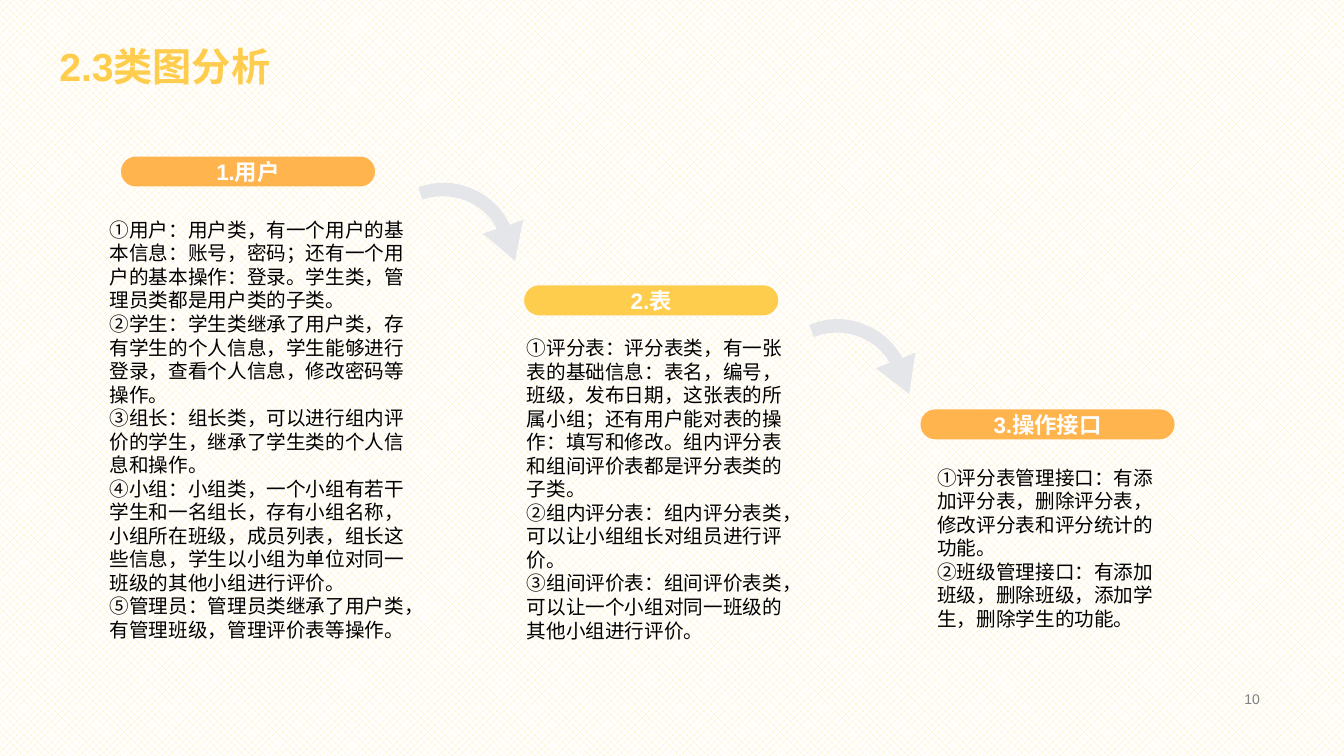
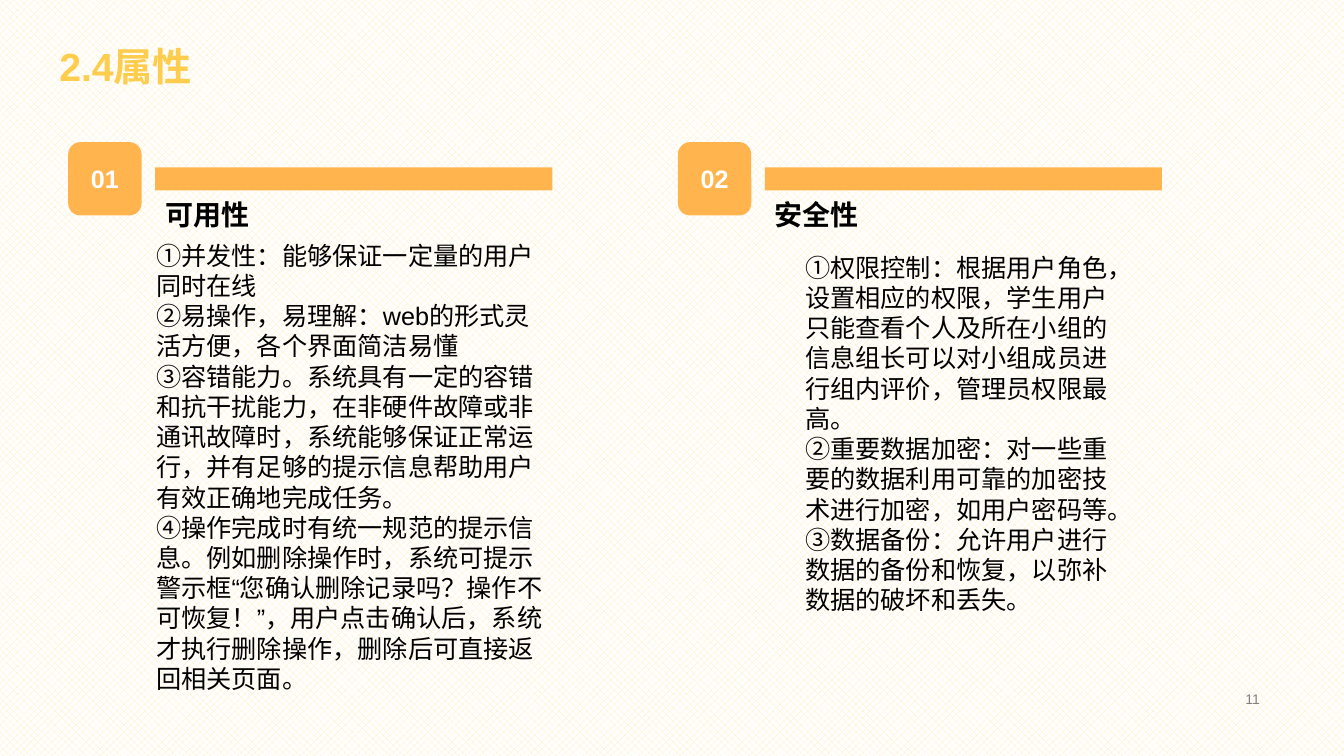
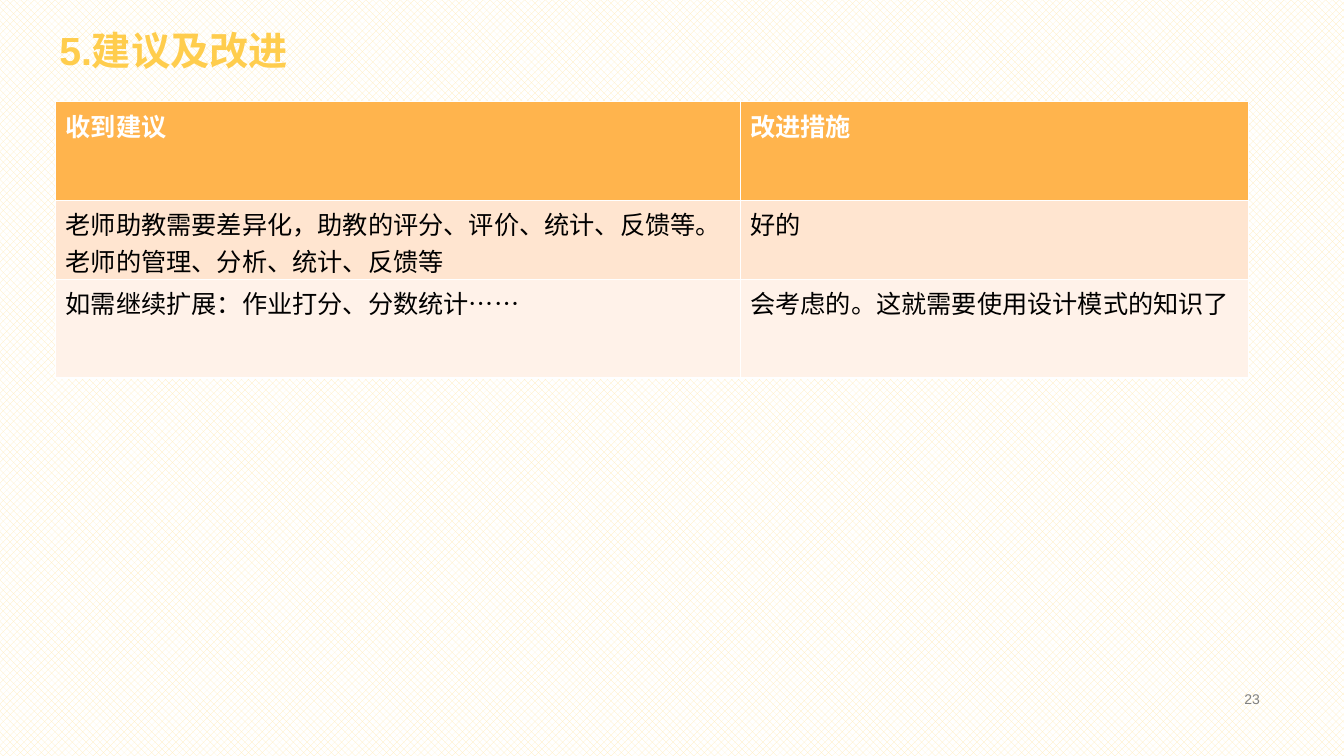
import lxml.etree
import pptx
import pptx.dml.color
import pptx.enum.dml
import pptx.enum.shapes
import pptx.enum.text
import pptx.oxml.ns
import pptx.util

Pt = pptx.util.Pt
SHAPE = pptx.enum.shapes.MSO_SHAPE
ALIGN = pptx.enum.text.PP_ALIGN
ANCHOR = pptx.enum.text.MSO_ANCHOR

# Shared look
FONT = "Arial"
ORANGE, YELLOW, GREY = "FFB44D", "FFCD4D", "E4E6EA"
WHITE, BLACK, PAGE_GREY = "FFFFFF", "000000", "808080"
PATTERN = "FFEBB8"
ROW_FILLS = (ORANGE, "FFE5D0", "FFF2E9")


def rgb(value):
    return pptx.dml.color.RGBColor.from_string(value)


# Text
def write(tf, text, size=18, color=BLACK, bold=False, align=None,
          anchor=ANCHOR.TOP, spacing=None, asian_font=FONT):
    """Fill a text frame; each line of text becomes a paragraph."""
    tf.word_wrap = True
    tf.vertical_anchor = anchor
    for i, line in enumerate(text.split("\n")):
        p = tf.paragraphs[0] if i == 0 else tf.add_paragraph()
        p.alignment = align
        p.line_spacing = spacing
        r = p.add_run()
        r.text = line
        r.font.size = Pt(size)
        r.font.bold = bold
        r.font.color.rgb = rgb(color)
        r.font.name = FONT
        if asian_font:
            ea = lxml.etree.SubElement(r.font._element, pptx.oxml.ns.qn("a:ea"))
            ea.set("typeface", asian_font)


def text_box(s, x, y, w, h, text, **fmt):
    sp = s.shapes.add_textbox(Pt(x), Pt(y), Pt(w), Pt(h))
    write(sp.text_frame, text, **fmt)


def body(s, x, y, w, h, text, size):
    text_box(s, x, y, w, h, text, size=size, spacing=Pt(size * 1.2))


# Shapes
def paint(sp, fill):
    sp.shadow.inherit = False
    sp.fill.solid()
    sp.fill.fore_color.rgb = rgb(fill)
    sp.line.fill.background()


def block(s, kind, x, y, w, h, fill, text=None, size=16):
    sp = s.shapes.add_shape(kind, Pt(x), Pt(y), Pt(w), Pt(h))
    paint(sp, fill)
    if text:
        tf = sp.text_frame
        tf.margin_left = tf.margin_right = tf.margin_top = tf.margin_bottom = 0
        write(tf, text, size=size, color=WHITE, bold=True,
              align=ALIGN.CENTER, anchor=ANCHOR.MIDDLE)
    return sp


def bezier(a, b, c, d, steps=12):
    """Points on a cubic curve, without its start."""
    points = []
    for i in range(1, steps + 1):
        t = i / steps
        u = 1 - t
        points.append(tuple(
            u ** 3 * a[k] + 3 * u * u * t * b[k] + 3 * u * t * t * c[k] + t ** 3 * d[k]
            for k in (0, 1)))
    return points


def curved_arrow(s, x, y, rotation=0):
    outline = [(72, 42), (74.9, 27.4), (65.5, 31)]
    outline += bezier((65.5, 31), (59.8, 19.5), (51.1, 10.8), (39.6, 5.8))
    outline += bezier((39.6, 5.8), (27.4, 0), (13, -0.7), (0, 4.3))
    outline += [(2.9, 13)]
    outline += bezier((2.9, 13), (23.8, 5.8), (46.8, 15.1), (56.2, 33.8))
    outline += [(46.1, 37.4), (57.6, 46.8), (69.1, 56.9)]
    points = [(Pt(x + px), Pt(y + py)) for px, py in outline]
    builder = s.shapes.build_freeform(*points[0])
    builder.add_line_segments(points[1:], close=True)
    sp = builder.convert_to_shape()
    paint(sp, GREY)
    sp.rotation = rotation


# Slide frame: background, page number, title
def new_slide(prs, title, number, title_top=11.5):
    s = prs.slides.add_slide(prs.slide_layouts[6])
    fill = s.background.fill
    fill.patterned()
    fill.pattern = pptx.enum.dml.MSO_PATTERN.PERCENT_50
    fill.fore_color.rgb = rgb(PATTERN)
    fill.back_color.rgb = rgb(WHITE)
    text_box(s, 678, 491, 229, 16.5, number, size=10, color=PAGE_GREY,
             align=ALIGN.RIGHT, anchor=ANCHOR.MIDDLE)
    text_box(s, 35.3, title_top, 221, 56.2, title, size=28, color=YELLOW,
             bold=True, anchor=ANCHOR.BOTTOM, spacing=0.9)
    return s


def class_slide(prs):
    s = new_slide(prs, "2.3类图分析", "10")
    # Label (x, y, fill, text), then its body (x, y, w, h, text)
    steps = [
        ((86.4, 111.8, ORANGE, "1.用户"), (71.2, 152, 236, 312,
         "①用户：用户类，有一个用户的基本信息：账号，密码；还有一个用户的基本操作：登录。学生类，管理员类都是用户类的子类。\n"
         "②学生：学生类继承了用户类，存有学生的个人信息，学生能够进行登录，查看个人信息，修改密码等操作。\n"
         "③组长：组长类，可以进行组内评价的学生，继承了学生类的个人信息和操作。\n"
         "④小组：小组类，一个小组有若干学生和一名组长，存有小组名称，小组所在班级，成员列表，组长这些信息，学生以小组为单位对同一班级的其他小组进行评价。\n"
         "⑤管理员：管理员类继承了用户类，有管理班级，管理评价表等操作。")),
        ((374.4, 203.8, YELLOW, "2.表"), (369.2, 236.5, 207.4, 227.5,
         "①评分表：评分表类，有一张表的基础信息：表名，编号，班级，发布日期，这张表的所属小组；还有用户能对表的操作：填写和修改。组内评分表和组间评价表都是评分表类的子类。\n"
         "②组内评分表：组内评分表类，可以让小组组长对组员进行评价。\n"
         "③组间评价表：组间评价表类，可以让一个小组对同一班级的其他小组进行评价。")),
        ((657.5, 292.4, ORANGE, "3.操作接口"), (662.4, 329, 170, 126,
         "①评分表管理接口：有添加评分表，删除评分表，修改评分表和评分统计的功能。\n"
         "②班级管理接口：有添加班级，删除班级，添加学生，删除学生的功能。")),
    ]
    for (x, y, fill, label), content in steps:
        pill = block(s, SHAPE.ROUNDED_RECTANGLE, x, y, 181.5, 21.4, fill, label)
        pill.adjustments[0] = 0.5
        body(s, *content, size=14)
    curved_arrow(s, 298.8, 129.6)
    curved_arrow(s, 579.1, 226.1, rotation=-2.6)


def attribute_slide(prs):
    s = new_slide(prs, "2.4属性", "11")
    # Left edge, number, heading, body box, body text
    columns = [
        (48.7, "01", "可用性", (104.4, 167.8, 290.2, 334),
         "①并发性：能够保证一定量的用户同时在线\n"
         "②易操作，易理解：web的形式灵活方便，各个界面简洁易懂\n"
         "③容错能力。系统具有一定的容错和抗干扰能力，在非硬件故障或非通讯故障时，系统能够保证正常运行，并有足够的提示信息帮助用户有效正确地完成任务。\n"
         "④操作完成时有统一规范的提示信息。例如删除操作时，系统可提示警示框“您确认删除记录吗？操作不可恢复！”，用户点击确认后，系统才执行删除操作，删除后可直接返回相关页面。"),
        (484.2, "02", "安全性", (568, 176.4, 240.5, 269.3),
         "①权限控制：根据用户角色，设置相应的权限，学生用户只能查看个人及所在小组的信息组长可以对小组成员进行组内评价，管理员权限最高。\n"
         "②重要数据加密：对一些重要的数据利用可靠的加密技术进行加密，如用户密码等。\n"
         "③数据备份：允许用户进行数据的备份和恢复，以弥补数据的破坏和丢失。"),
    ]
    for x, number, heading, box, text in columns:
        block(s, SHAPE.RECTANGLE, x + 62.2, 119.5, 283.6, 16.5, ORANGE)
        block(s, SHAPE.ROUNDED_RECTANGLE, x, 101.5, 52.4, 52.4, ORANGE, number, size=18)
        text_box(s, x + 62.2, 141.8, 283.6, 26.6, heading, size=20, bold=True,
                 anchor=ANCHOR.MIDDLE, spacing=0.8)
        body(s, *box, text, size=18)


def suggestion_slide(prs):
    s = new_slide(prs, "5.建议及改进", "23", title_top=0)
    rows = [
        ("收到建议", "改进措施"),
        ("老师助教需要差异化，助教的评分、评价、统计、反馈等。老师的管理、分析、统计、反馈等", "好的"),
        ("如需继续扩展：作业打分、分数统计……", "会考虑的。这就需要使用设计模式的知识了"),
    ]
    table = s.shapes.add_table(3, 2, Pt(39.8), Pt(72.7), Pt(852), Pt(197.4)).table
    for column, width in zip(table.columns, (489, 363)):
        column.width = Pt(width)
    for row, height in zip(table.rows, (70.6, 56.2, 70.6)):
        row.height = Pt(height)
    for i, texts in enumerate(rows):
        header = i == 0
        for j, text in enumerate(texts):
            cell = table.cell(i, j)
            cell.fill.solid()
            cell.fill.fore_color.rgb = rgb(ROW_FILLS[i])
            write(cell.text_frame, text, color=WHITE if header else BLACK,
                  bold=header, asian_font=None)


def main():
    prs = pptx.Presentation()
    prs.slide_width, prs.slide_height = Pt(960), Pt(540)
    class_slide(prs)
    attribute_slide(prs)
    suggestion_slide(prs)
    prs.save("out.pptx")


if __name__ == "__main__":
    main()
